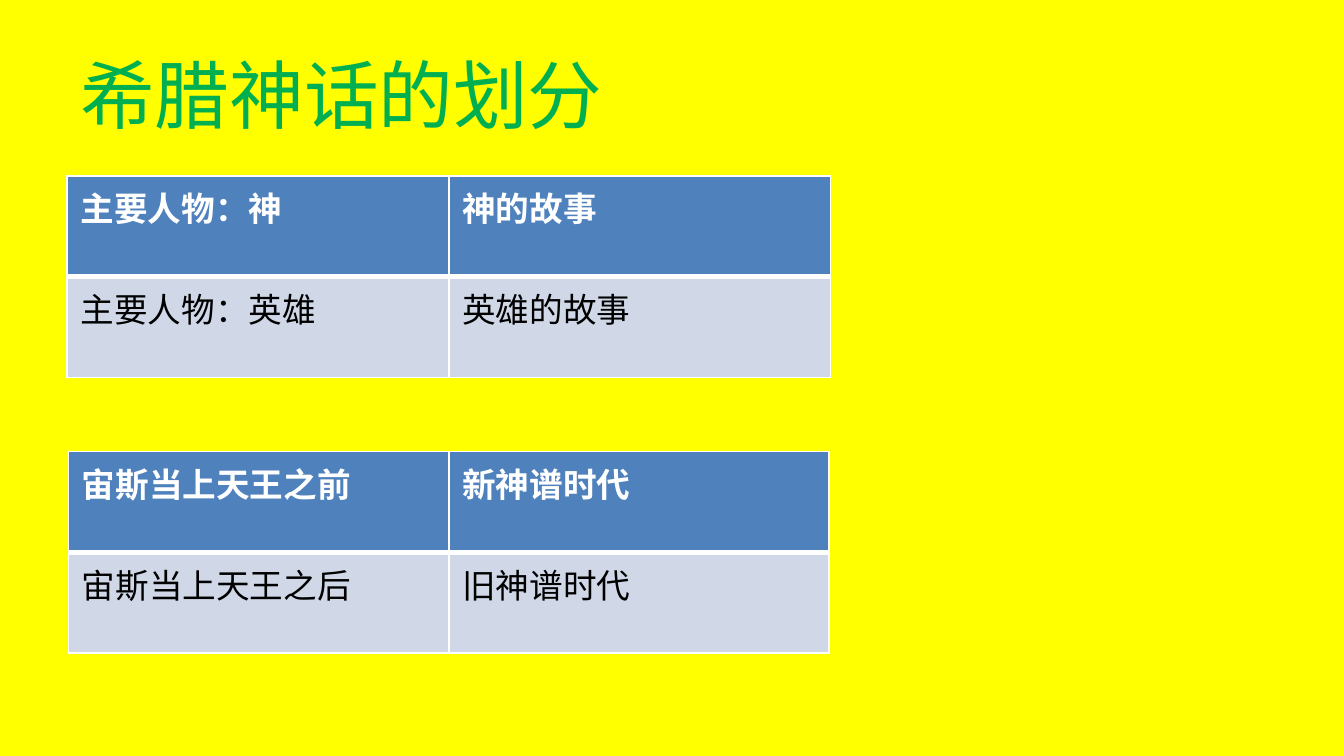
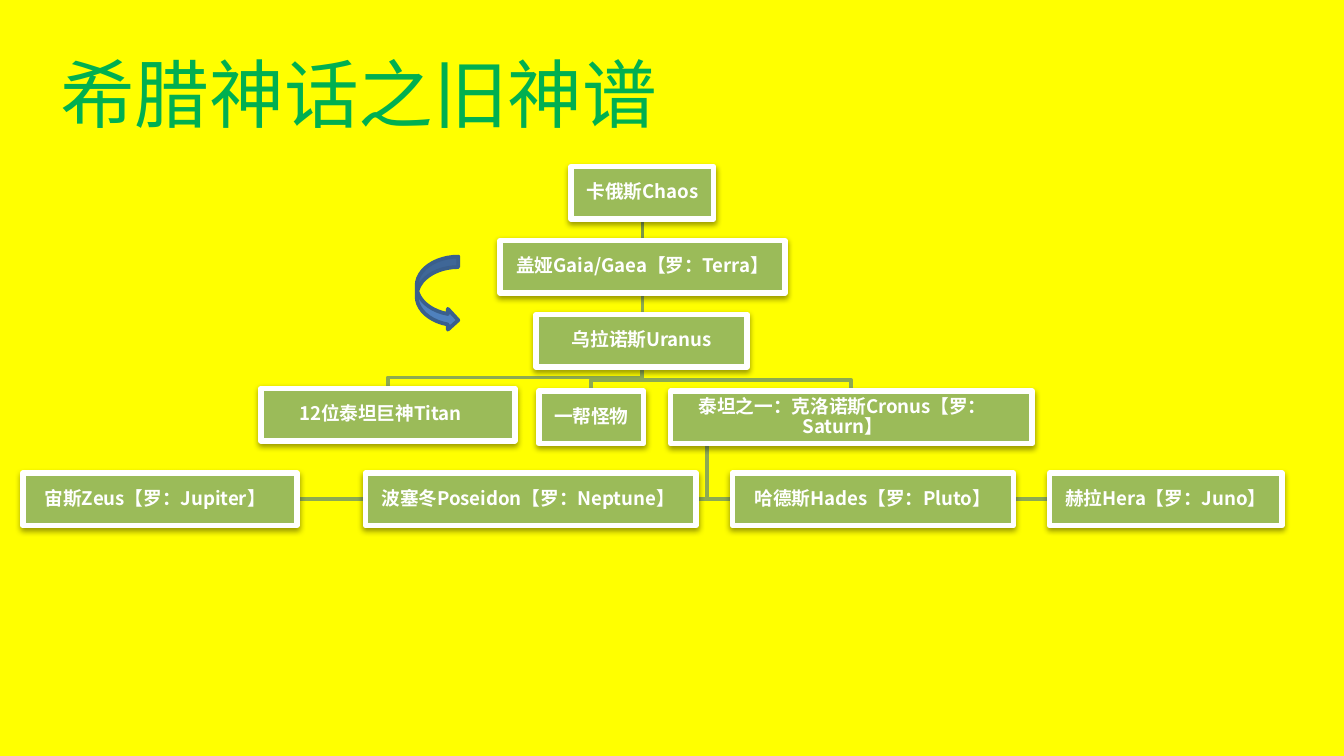
from dataclasses import dataclass

from lxml.etree import SubElement
from pptx import Presentation
from pptx.dml.color import RGBColor
from pptx.enum.shapes import MSO_CONNECTOR, MSO_SHAPE
from pptx.enum.text import MSO_ANCHOR, PP_ALIGN
from pptx.oxml.ns import qn
from pptx.util import Emu, Inches, Pt

# Grid: 100 columns across the slide, rows of the same size
COLUMNS = 100
UNIT = Inches(10) // COLUMNS
ROWS = 56.25

FONT = "Noto Sans CJK SC"
YELLOW, GREEN, WHITE, BLACK = "FFFF00", "00B050", "FFFFFF", "000000"
BLUE, PALE_BLUE, DARK_BLUE = "4F81BD", "D0D8E8", "3A5F8C"
OLIVE, ROOT_BRANCH, BRANCH = "9BBB59", "7C9647", "8DAA51"

BOX_HEIGHT = 3.9
GENERATION_STEP = 5.5
FIRST_GENERATION = 12.4
CHILD_STEM = 0.8
BRANCH_WIDTH = 2


@dataclass(frozen=True)
class Title:
    text: str
    col: float
    row: float
    width: float
    height: float
    anchor: MSO_ANCHOR


@dataclass(frozen=True)
class Division:
    col: float
    row: float
    column_width: float
    rows: tuple


@dataclass(frozen=True)
class Deity:
    text: str
    col: float
    row: float
    width: float
    right_inset: float = 0.1

    @property
    def center(self) -> float:
        return self.col + self.width / 2

    @property
    def bottom(self) -> float:
        return self.row + BOX_HEIGHT


def generation(number: int) -> float:
    return FIRST_GENERATION + number * GENERATION_STEP


# Content
DIVISION_TITLE = Title("希腊神话的划分", 5, 2.3, 90, 9.4, MSO_ANCHOR.MIDDLE)
DIVISIONS = (
    Division(5, 13.1, 28.4, (("主要人物：神", "神的故事"),
                             ("主要人物：英雄", "英雄的故事"))),
    Division(5.1, 33.6, 28.3, (("宙斯当上天王之前", "新神谱时代"),
                               ("宙斯当上天王之后", "旧神谱时代"))),
)
DIVISION_ROW_HEIGHT = 7.5

GENEALOGY_TITLE = Title("希腊神话之旧神谱", 3.5, 3.1, 66.9, 7.7, MSO_ANCHOR.TOP)
CHAOS = Deity("卡俄斯Chaos", 42.5, generation(0), 10.6)
GAIA = Deity("盖娅Gaia/Gaea【罗：Terra】", 37.2, generation(1), 21.2)
URANUS = Deity("乌拉诺斯Uranus", 39.9, generation(2), 15.7)
TITANS = Deity("12位泰坦巨神Titan", 19.4, generation(3), 18.9, 1.2)
MONSTERS = Deity("一帮怪物", 40.1, 29.1, 7.8)
CRONUS = Deity("泰坦之一：克洛诺斯Cronus【罗：Saturn】", 49.9, 29.1, 26.9, 1.4)
CRONUS_CHILDREN = (
    Deity("宙斯Zeus【罗：Jupiter】", 1.7, 35.2, 20.4, 0.8),
    Deity("赫拉Hera【罗：Juno】", 78.1, 35.2, 17.3),
    Deity("波塞冬Poseidon【罗：Neptune】", 27.2, 35.2, 24.6, 0.5),
    Deity("哈德斯Hades【罗：Pluto】", 54.5, 35.2, 20.9),
)
URANUS_CHILDREN = (CRONUS, MONSTERS, TITANS)


def grid(units: float) -> Emu:
    return Emu(round(units * UNIT))


def color(value: str) -> RGBColor:
    return RGBColor.from_string(value)


def write(frame, text: str, *, size: float, ink: str, bold: bool = False,
          align=PP_ALIGN.LEFT, spacing: float = 1.0) -> None:
    paragraph = frame.paragraphs[0]
    paragraph.alignment = align
    paragraph.line_spacing = spacing
    run = paragraph.add_run()
    run.text = text
    font = run.font
    font.size, font.bold, font.name = Pt(size), bold, FONT
    font.color.rgb = color(ink)
    SubElement(font._element, qn("a:ea"), typeface=FONT)


def add_page(deck, title: Title):
    slide = deck.slides.add_slide(deck.slide_layouts[6])
    slide.background.fill.solid()
    slide.background.fill.fore_color.rgb = color(YELLOW)
    frame = slide.shapes.add_textbox(grid(title.col), grid(title.row),
                                     grid(title.width), grid(title.height)).text_frame
    frame.word_wrap = True
    frame.vertical_anchor = title.anchor
    write(frame, title.text, size=40, ink=GREEN)
    return slide


def set_borders(cell, bottom: float) -> None:
    properties = cell._tc.get_or_add_tcPr()
    for side, width in (("L", 1), ("R", 1), ("T", 1), ("B", bottom)):
        line = SubElement(properties, qn(f"a:ln{side}"), w=str(Pt(width)))
        fill = SubElement(line, qn("a:solidFill"))
        SubElement(fill, qn("a:srgbClr"), val=WHITE)


def add_division(slide, division: Division) -> None:
    count = len(division.rows)
    table = slide.shapes.add_table(
        count, 2, grid(division.col), grid(division.row),
        grid(2 * division.column_width), grid(count * DIVISION_ROW_HEIGHT)).table
    table.horz_banding = False
    for column in table.columns:
        column.width = grid(division.column_width)
    for r, texts in enumerate(division.rows):
        table.rows[r].height = grid(DIVISION_ROW_HEIGHT)
        header = r == 0
        for c, text in enumerate(texts):
            cell = table.cell(r, c)
            set_borders(cell, bottom=3 if header else 1)
            cell.fill.solid()
            cell.fill.fore_color.rgb = color(BLUE if header else PALE_BLUE)
            write(cell.text_frame, text, size=18, bold=header,
                  ink=WHITE if header else BLACK)


def paint(shape, fill: str, line: str, width: float) -> None:
    shape.shadow.inherit = False
    shape.fill.solid()
    shape.fill.fore_color.rgb = color(fill)
    shape.line.color.rgb = color(line)
    shape.line.width = Pt(width)


def add_shadow(shape) -> None:
    effects = shape._element.spPr.find(qn("a:effectLst"))
    shadow = SubElement(effects, qn("a:outerShdw"), blurRad=str(Pt(3.1)),
                        dist=str(Pt(1.6)), dir="5400000", rotWithShape="0")
    black = SubElement(shadow, qn("a:srgbClr"), val=BLACK)
    SubElement(black, qn("a:alpha"), val="38000")


def add_deity(slide, deity: Deity) -> None:
    box = slide.shapes.add_shape(MSO_SHAPE.RECTANGLE, grid(deity.col), grid(deity.row),
                                 grid(deity.width), grid(BOX_HEIGHT))
    paint(box, OLIVE, WHITE, 3)
    add_shadow(box)
    frame = box.text_frame
    frame.word_wrap = True
    frame.vertical_anchor = MSO_ANCHOR.MIDDLE
    frame.margin_left = frame.margin_top = frame.margin_bottom = grid(0.1)
    frame.margin_right = grid(deity.right_inset)
    write(frame, deity.text, size=10, ink=WHITE, bold=True,
          align=PP_ALIGN.CENTER, spacing=0.9)


def add_branch(slide, points: list, ink: str = BRANCH) -> None:
    corners = [(grid(x), grid(y)) for x, y in points]
    if len(corners) == 2:
        branch = slide.shapes.add_connector(MSO_CONNECTOR.STRAIGHT, *corners[0], *corners[1])
        SubElement(branch._element.spPr, qn("a:effectLst"))
    else:
        builder = slide.shapes.build_freeform(*corners[0])
        builder.add_line_segments(corners[1:], close=False)
        branch = builder.convert_to_shape()
        branch.shadow.inherit = False
        branch.fill.background()
    branch.line.color.rgb = color(ink)
    branch.line.width = Pt(BRANCH_WIDTH)


def add_branches(slide) -> None:
    # Cronus's children hang from a stem and join at their nearer side
    stem = CRONUS.col + CRONUS.width / 10
    for child in CRONUS_CHILDREN:
        side = child.col if child.col > stem else child.col + child.width
        middle = child.row + BOX_HEIGHT / 2
        add_branch(slide, [(stem, CRONUS.bottom), (stem, middle), (side, middle)])
    # Children of Uranus join from above
    for child in URANUS_CHILDREN:
        bend = child.row - CHILD_STEM
        add_branch(slide, [(URANUS.center, URANUS.bottom), (URANUS.center, bend),
                           (child.center, bend), (child.center, child.row)])
    # Direct descent
    for parent, child, ink in ((GAIA, URANUS, BRANCH), (CHAOS, GAIA, ROOT_BRANCH)):
        add_branch(slide, [(parent.center, parent.bottom), (parent.center, child.row)], ink)


def main() -> None:
    deck = Presentation()
    deck.slide_width, deck.slide_height = grid(COLUMNS), grid(ROWS)

    # Divisions of Greek myth
    divisions_page = add_page(deck, DIVISION_TITLE)
    for division in DIVISIONS:
        add_division(divisions_page, division)

    # Family tree of the old gods
    genealogy_page = add_page(deck, GENEALOGY_TITLE)
    add_branches(genealogy_page)
    for deity in (CHAOS, GAIA, URANUS, TITANS, MONSTERS, CRONUS, *CRONUS_CHILDREN):
        add_deity(genealogy_page, deity)
    marriage_arrow = genealogy_page.shapes.add_shape(
        MSO_SHAPE.CURVED_RIGHT_ARROW, grid(31), grid(19.1), grid(3.1), grid(5.5))
    paint(marriage_arrow, BLUE, DARK_BLUE, 2)

    deck.save("out.pptx")


if __name__ == "__main__":
    main()
